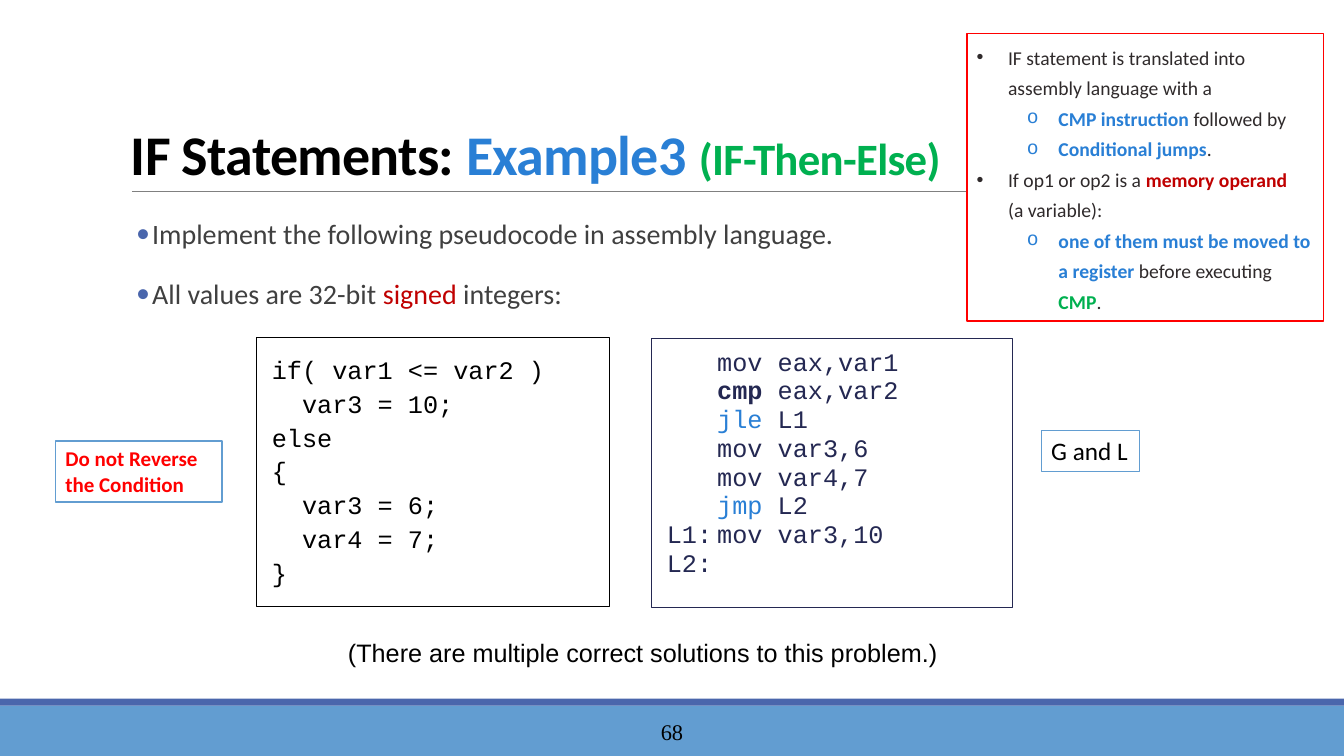
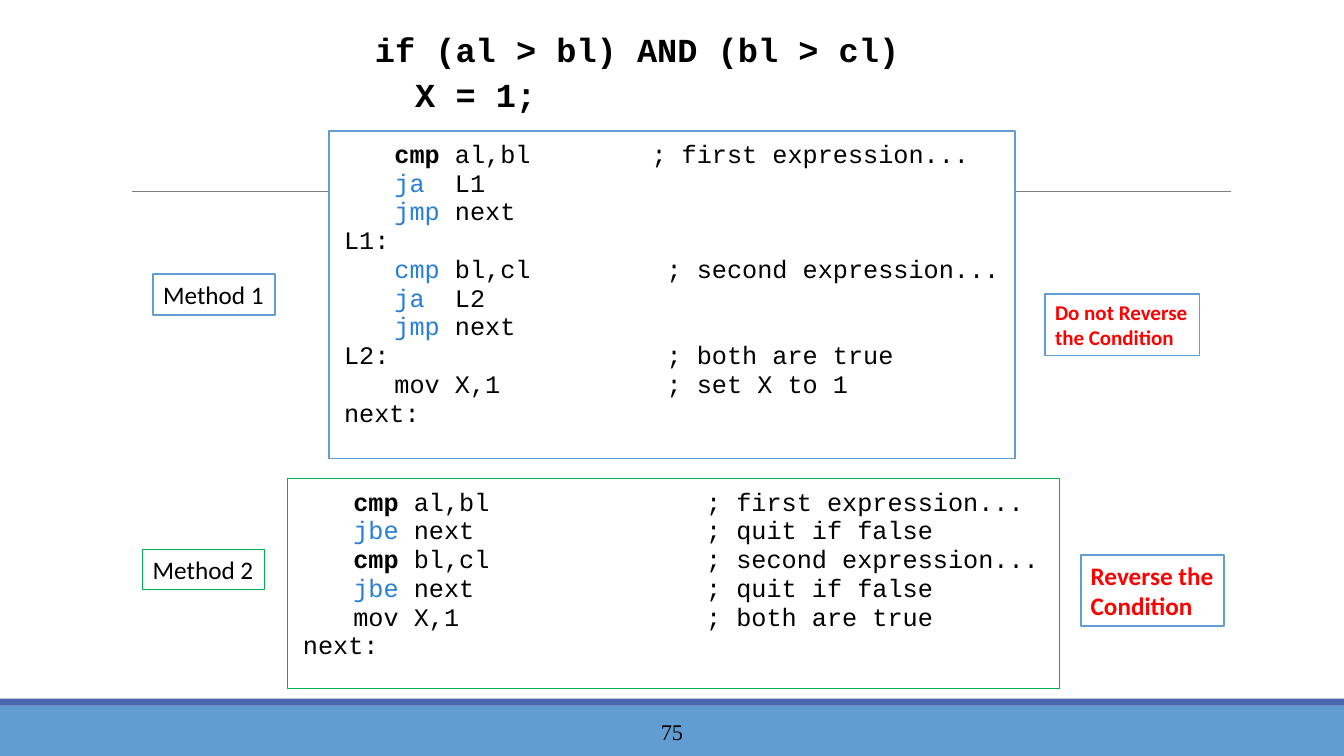
from pptx import Presentation
from pptx.dml.color import RGBColor as Rgb
from pptx.enum.shapes import MSO_CONNECTOR as Link, MSO_SHAPE as Form
from pptx.enum.text import MSO_ANCHOR as Anchor, PP_ALIGN as Align
from pptx.oxml.ns import qn
from pptx.util import Pt
from lxml.etree import SubElement as Sub


class Theme:
    black = "000000"
    white = "FFFFFF"
    sky = "629DD1"
    navy = "4A66AC"
    ink = "242852"
    blue = "297FD5"
    green = "00B050"
    red = "FF0000"
    wine = "C00000"
    gray = "404040"
    rule = "808080"
    dark = "2F2A2B"
    sans = "Calibri"
    mono = "Courier New"
    serif = "Times New Roman"
    plain = "Arial"
    title = 40
    sub = 32
    head = 24
    body = 20
    text = 18
    page = 16
    warn = 15
    note = 14


T = Theme
THIN, THICK = 0.75, 1.25
CODE = dict(font=T.mono, pad=(10.8, 14.4))
ASM = dict(CODE, lead=0.5, gap=9.75)


def put(slide, area, rows, size=T.text, font=T.sans, color=T.black, bold=False,
        fill=None, line=None, width=THICK, pad=(7.2, 3.6), wrap=True,
        anchor=Anchor.TOP, align=Align.LEFT, lead=None, gap=0, after=0,
        stops=(), marks=()):
    area = [Pt(n) for n in area]
    if line or fill:
        box = slide.shapes.add_shape(Form.RECTANGLE, *area)
        box.shadow.inherit = False
    else:
        box = slide.shapes.add_textbox(*area)
    if fill:
        box.fill.solid()
        box.fill.fore_color.rgb = Rgb.from_string(fill)
    else:
        box.fill.background()
    if line:
        box.line.color.rgb = Rgb.from_string(line)
        box.line.width = Pt(width)
    else:
        box.line.fill.background()
    frame = box.text_frame
    frame.word_wrap = wrap
    frame.vertical_anchor = anchor
    frame.margin_left = frame.margin_right = Pt(pad[0])
    frame.margin_top = frame.margin_bottom = Pt(pad[1])
    for i, row in enumerate(rows):
        para = frame.paragraphs[0] if i == 0 else frame.add_paragraph()
        prop = para._p.get_or_add_pPr()
        if marks:
            level, left, hang, sign, face, tint = marks[i]
            para.level = level
            prop.set("marL", str(Pt(left)))
            prop.set("indent", str(-Pt(hang)))
            Sub(Sub(prop, qn("a:buClr")), qn("a:srgbClr"), val=tint)
            Sub(prop, qn("a:buFont"), typeface=face)
            Sub(prop, qn("a:buChar"), char=sign)
        if stops:
            tabs = Sub(prop, qn("a:tabLst"))
            for stop in stops:
                Sub(tabs, qn("a:tab"), pos=str(Pt(stop)), algn="l")
        para.alignment = align
        para.space_before = Pt(gap if i else 0)
        para.space_after = Pt(after)
        if lead:
            para.line_spacing = lead
        para.font.name = font
        para.font.size = Pt(size)
        para.font.bold = bold
        para.font.color.rgb = Rgb.from_string(color)
        for part in [row] if isinstance(row, str) else row:
            if part == "\v":
                para.add_line_break()
                continue
            word, tint, strong = (part, None, None) if isinstance(part, str) else part
            run = para.add_run()
            run.text = word
            if tint:
                run.font.color.rgb = Rgb.from_string(tint)
            if strong is not None:
                run.font.bold = strong
    return box


deck = Presentation()
deck.slide_width, deck.slide_height = Pt(960), Pt(540)
pages = []
for page in ("68", "75"):
    slide = deck.slides.add_slide(deck.slide_layouts[6])
    for top, tall, tint in ((504, 36, T.sky), (499, 5, T.navy)):
        put(slide, (0, top, 960, tall), [], fill=tint)
    rule = slide.shapes.add_connector(Link.STRAIGHT, Pt(94.3), Pt(136.8), Pt(879), Pt(136.8))
    rule.line.color.rgb = Rgb.from_string(T.rule)
    rule.line.width = Pt(0.5)
    Sub(rule._element.spPr, qn("a:effectLst"))
    put(slide, (290, 508.5, 380, 28.8), [page], T.page, T.serif,
        anchor=Anchor.MIDDLE, align=Align.CENTER)
    pages.append(slide)
first, second = pages

title = put(first, (86.4, 22.3, 792, 114.5),
            [["IF Statements: ", ("Example3 ", T.blue, None), ("(IF-Then-Else)", T.green, None)]],
            T.title, bold=True, anchor=Anchor.BOTTOM, lead=0.85)
runs = title.text_frame.paragraphs[0].runs
runs[-1].font.size = Pt(T.sub)
for run in runs:
    run._r.get_or_add_rPr().set("spc", "-50")

put(first, (97.2, 146.2, 781, 95.8),
    ["Implement the following pseudocode in assembly language.",
     ["All values are 32-bit ", ("signed", T.wine, None), " integers:"]],
    T.body, color=T.gray, pad=(0, 3.6), lead=1.2, gap=12, after=2,
    marks=[(0, 11.5, 11.5, "•", T.sans, T.navy)] * 2)

put(first, (465.5, 242, 258, 192),
    ["\tmov eax,var1",
     ["\t", ("cmp", None, True), " eax,var2"],
     ["\t", ("jle ", T.blue, None), "L1"],
     "\tmov var3,6",
     "\tmov var4,7",
     ["\t", ("jmp ", T.blue, None), "L2"],
     "L1:\tmov var3,10",
     "L2:"],
    color=T.ink, line=T.ink, width=THIN, stops=[36], **ASM)

put(first, (183.4, 241.2, 252, 192),
    ["if( var1 <= var2 )", "  var3 = 10;", "else", "{", "  var3 = 6;", "  var4 = 7;", "}"],
    line=T.black, width=THIN, lead=0.9, gap=4.65, **CODE)

put(first, (174.2, 444.2, 570, 44), ["(There are multiple correct solutions to this problem.)"],
    font=T.plain, pad=(7.2, 10.8), align=Align.CENTER)

dot = (0, 22.5, 22.5, "•", T.plain, T.dark)
ring = (1, 58.5, 22.5, "o", T.mono, T.blue)
put(first, (690.5, 23.9, 255, 205.5),
    ["IF statement is translated into assembly language with a",
     [("CMP instruction", T.blue, True), " followed by"],
     [("Conditional jumps", T.blue, True), "."],
     ["If op1 or op2 is a ", ("memory operand", T.wine, True), "\v", "(a variable):"],
     [("one of them must be moved to a register ", T.blue, True), "before executing ",
      ("CMP", T.green, True), "."]],
    T.note, color=T.dark, fill=T.white, line=T.red, lead=1.3,
    marks=[dot, ring, ring, dot, ring])

put(second, (205.6, 342, 551, 149.8),
    [["\t", ("cmp ", None, True), "al,bl\t; first expression..."],
     ["\t", ("jbe ", T.blue, None), "next\t; quit if false"],
     ["\t", ("cmp ", None, True), "bl,cl\t; second expression..."],
     ["\t", ("jbe ", T.blue, None), "next\t; quit if false"],
     "\tmov X,1\t; both are true",
     "next:"],
    fill=T.white, line=T.green, width=THIN, stops=[36, 288], **ASM)

put(second, (257, 9.4, 446.4, 77.8), ["if (al > bl) AND (bl > cl)", "  X = 1;"],
    T.head, bold=True, lead=0.9, gap=6.2, **CODE)

put(second, (235, 93.6, 490, 234),
    [["\t", ("cmp ", None, True), "al,bl\t; first expression..."],
     ["\t", ("ja", T.blue, None), "  L1"],
     ["\t", ("jmp ", T.blue, None), "next"],
     "L1:",
     ["\t", ("cmp ", T.blue, None), "bl,cl\t\t; second expression..."],
     ["\t", ("ja", T.blue, None), "  L2"],
     ["\t", ("jmp ", T.blue, None), "next"],
     "L2:\t\t\t; both are true",
     "\tmov X,1\t\t; set X to 1",
     "next:"],
    fill=T.white, line=T.sky, stops=[36, 219.6, 230.4], **ASM)

for slide, area, word, tint, width in (
        (first, (743.8, 307.5, 70, 29), "G and L", T.sky, THIN),
        (second, (109.4, 195.8, 87, 29), "Method 1", T.sky, THICK),
        (second, (102, 392.4, 87, 29), "Method 2", T.green, THIN)):
    put(slide, area, [word], fill=T.white, line=tint, width=width, wrap=False)

for slide, area, word, size in (
        (first, (39.6, 315, 119, 43.7), "Do not Reverse the Condition", T.warn),
        (second, (746.5, 210.2, 110.3, 43.7), "Do not Reverse the Condition", T.warn),
        (second, (772, 396.4, 102.5, 50.9), "Reverse the Condition", T.text)):
    put(slide, area, [word], size, color=T.red, bold=True, fill=T.white, line=T.sky)

deck.save("out.pptx")
